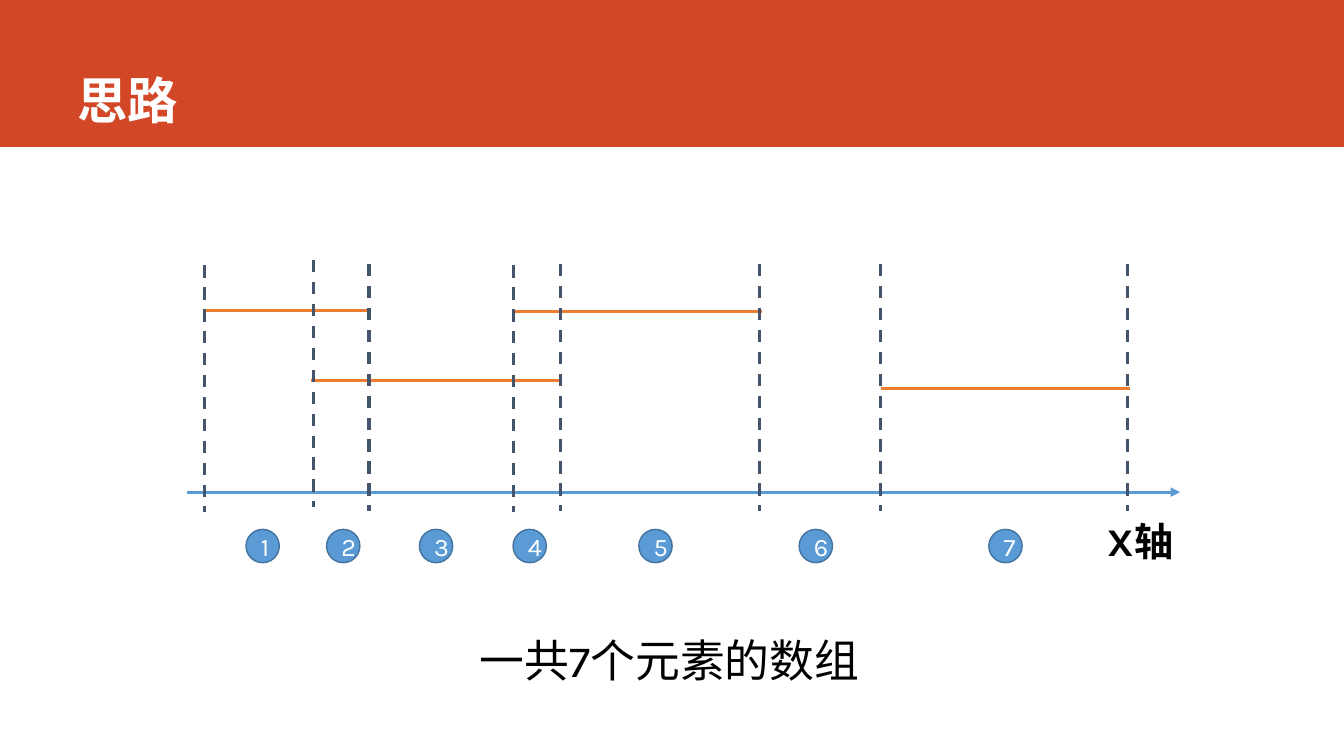
from lxml import etree
from pptx import Presentation
from pptx.dml.color import RGBColor
from pptx.enum import dml, shapes, text
from pptx.oxml.ns import qn
from pptx.util import Cm, Pt

RED = RGBColor(0xD2, 0x47, 0x26)
BLUE = RGBColor(0x5B, 0x9B, 0xD5)
EDGE = RGBColor(0x43, 0x73, 0x9E)
ORANGE = RGBColor(0xED, 0x7D, 0x31)
SLATE = RGBColor(0x44, 0x54, 0x6A)
WHITE = RGBColor(0xFF, 0xFF, 0xFF)
BLACK = RGBColor(0, 0, 0)
HAN = "Noto Sans CJK SC"


def write(shape, words, size, color=BLACK, bold=False, face="Karla",
          align=text.PP_ALIGN.LEFT, anchor=text.MSO_ANCHOR.TOP):
    frame = shape.text_frame
    frame.word_wrap = True
    frame.vertical_anchor = anchor
    par = frame.paragraphs[0]
    par.alignment = align
    run = par.add_run()
    run.text = words
    font = run.font
    font.size, font.bold, font.name = Pt(size), bold, face
    font.color.rgb = color
    etree.SubElement(run._r.get_or_add_rPr(), qn("a:ea"), typeface=HAN)


def draw(x1, y1, x2, y2, color):
    line = slide.shapes.add_connector(
        shapes.MSO_CONNECTOR.STRAIGHT, Cm(x1), Cm(y1), Cm(x2), Cm(y2))
    line.line.color.rgb = color
    line.line.width = Pt(2.25)
    etree.SubElement(line._element.spPr, qn("a:effectLst"))
    return line


deck = Presentation()
deck.slide_width, deck.slide_height = Cm(33.87), Cm(19.05)
slide = deck.slides.add_slide(deck.slide_layouts[6])

band = slide.shapes.add_shape(
    shapes.MSO_SHAPE.RECTANGLE, 0, 0, deck.slide_width, Cm(3.7))
band.shadow.inherit = False
band.fill.solid()
band.fill.fore_color.rgb = RED
band.line.fill.background()

title = slide.shapes.add_textbox(Cm(1.7), 0, Cm(29.85), Cm(3.4))
write(title, "思路", 36, color=WHITE, bold=True, face=HAN,
      anchor=text.MSO_ANCHOR.BOTTOM)

axis = draw(4.7, 12.4, 29.74, 12.4, BLUE)
etree.SubElement(axis.line._get_or_add_ln(), qn("a:tailEnd"), type="triangle")

for left, right, y in [(5.16, 9.3, 7.82), (7.85, 14.12, 9.58),
                       (12.93, 19.2, 7.85), (22.2, 28.47, 9.78)]:
    draw(left, y, right, y, ORANGE)

label = slide.shapes.add_textbox(Cm(27.66), Cm(12.9), Cm(2.21), Cm(1.45))
write(label, "X轴", 28, bold=True)

for x, top in [(5.16, 6.68), (7.9, 6.55), (9.3, 6.65), (12.93, 6.68),
               (14.12, 6.65), (19.15, 6.65), (22.2, 6.65), (28.42, 6.65)]:
    mark = draw(x, top, x, top + 6.22, SLATE)
    mark.line.dash_style = dml.MSO_LINE.DASH

for num, x in enumerate([6.2, 8.23, 10.57, 12.93, 16.1, 20.14, 24.92], 1):
    disc = slide.shapes.add_shape(
        shapes.MSO_SHAPE.OVAL, Cm(x), Cm(13.34), Cm(0.84), Cm(0.84))
    disc.shadow.inherit = False
    disc.fill.solid()
    disc.fill.fore_color.rgb = BLUE
    disc.line.color.rgb = EDGE
    disc.line.width = Pt(1)
    write(disc, str(num), 18, color=WHITE, align=text.PP_ALIGN.CENTER,
          anchor=text.MSO_ANCHOR.MIDDLE)

note = slide.shapes.add_textbox(Cm(11.84), Cm(15.82), Cm(11.4), Cm(1.62))
write(note, "一共7个元素的数组", 32)

deck.save("out.pptx")
